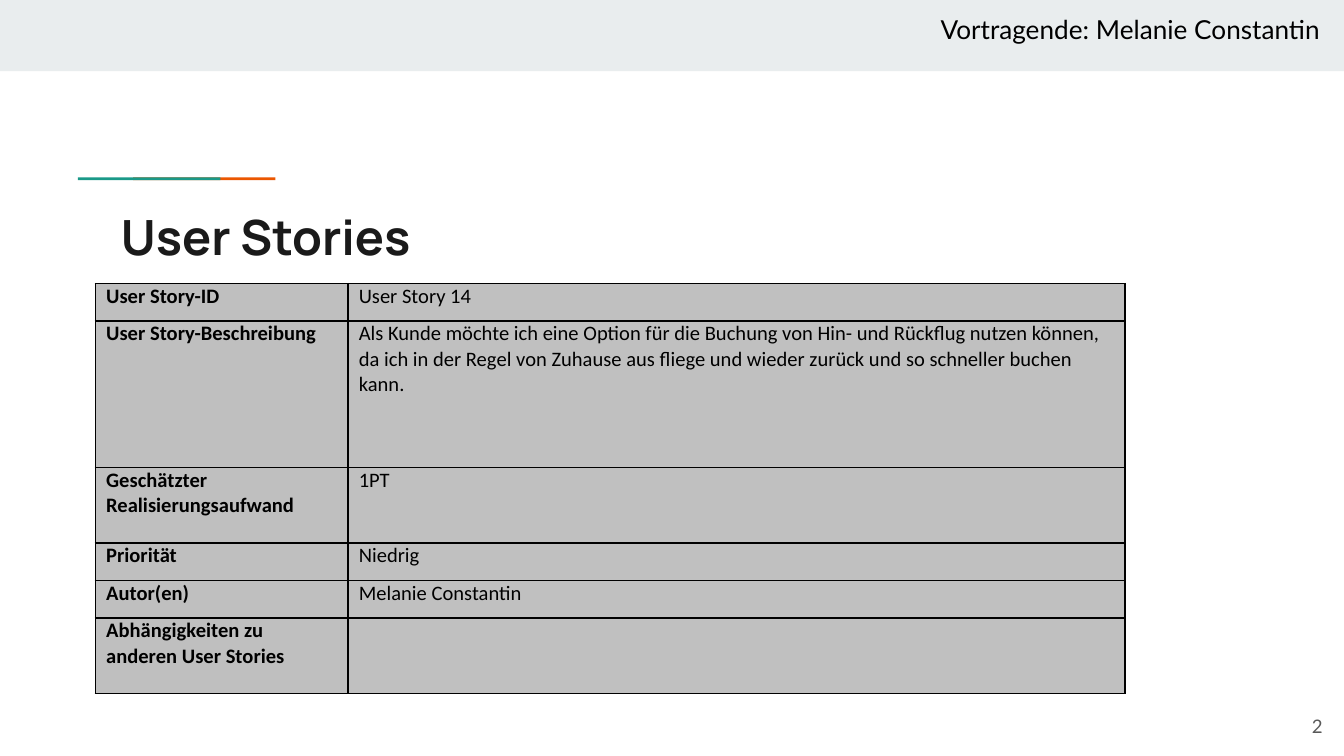
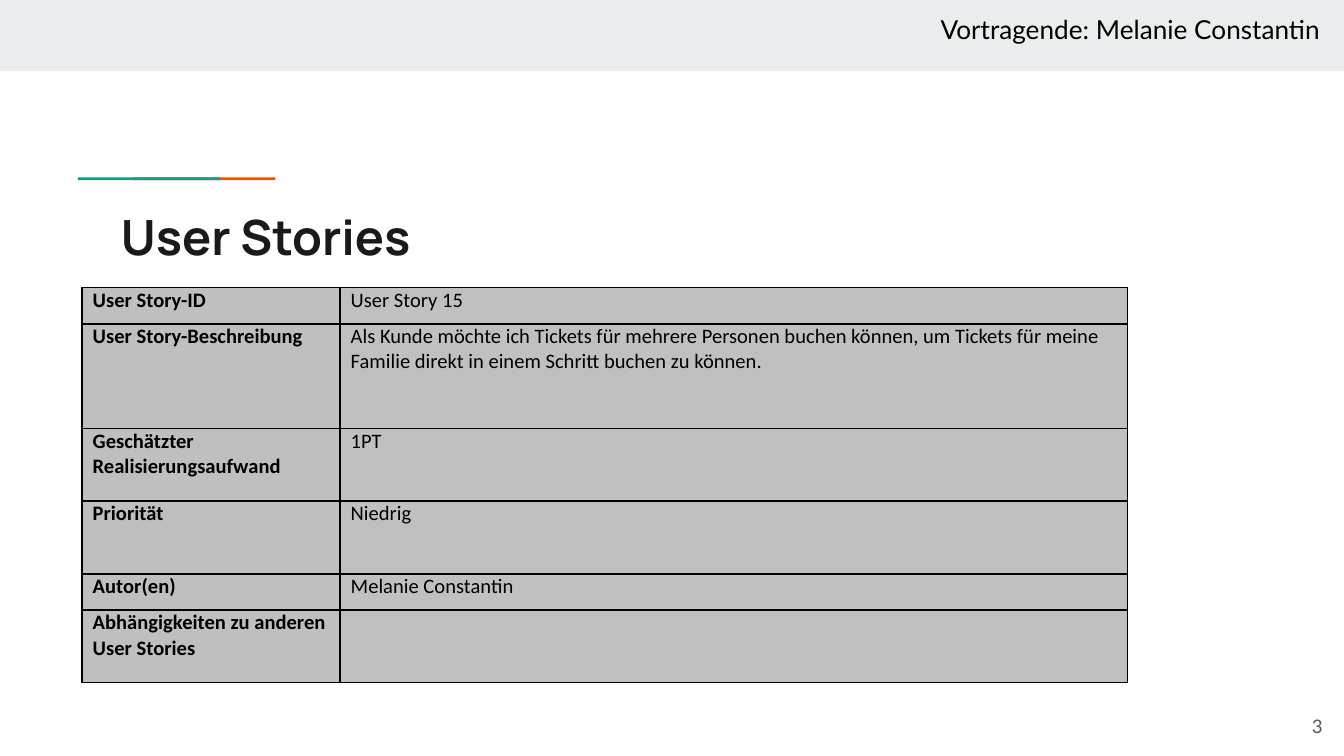
from lxml import etree
from pptx import Presentation
from pptx.dml.color import RGBColor
from pptx.enum import shapes, text
from pptx.oxml.ns import qn
from pptx.util import Inches, Pt

BLACK, INK, GREY = "000000", "1A1A1A", "595959"
BAND, TEAL, ORANGE = "E9EDEE", "1A9988", "EB5600"
LABEL_FILL, VALUE_FILL = "BFBFBF", "C0C0C0"

LABELS = ["User Story-ID", "User Story-Beschreibung", "Geschätzter Realisierungsaufwand",
          "Priorität", "Autor(en)", "Abhängigkeiten zu anderen User Stories"]
AUTHOR = "Melanie Constantin"

STORIES = [
    dict(page=2, id="User Story 14", left=0.71, top=2.11, cols=[1.88, 5.78],
         rows=[0.28, 1.09, 0.56, 0.28, 0.28, 0.56],
         wish="Als Kunde möchte ich eine Option für die Buchung von Hin- und Rückflug "
              "nutzen können, da ich in der Regel von Zuhause aus fliege und wieder "
              "zurück und so schneller buchen kann."),
    dict(page=3, id="User Story 15", left=0.61, top=2.14, cols=[1.92, 5.86],
         rows=[0.27, 0.78, 0.54, 0.54, 0.27, 0.54],
         wish="Als Kunde möchte ich Tickets für mehrere Personen buchen können, um "
              "Tickets für meine Familie direkt in einem Schritt buchen zu können."),
]


def rgb(color):
    return RGBColor.from_string(color)


def write(tf, words, size, font="Lato", color=BLACK, bold=False, align="LEFT",
          anchor="TOP", before=0):
    tf.word_wrap = True
    tf.auto_size = text.MSO_AUTO_SIZE.NONE
    tf.vertical_anchor = text.MSO_ANCHOR[anchor]
    tf.margin_left = tf.margin_right = tf.margin_top = tf.margin_bottom = Inches(0.1)
    p = tf.paragraphs[0]
    p.alignment = text.PP_ALIGN[align]
    p.space_before = Pt(before)
    r = p.add_run()
    r.text = words
    r.font.name, r.font.size, r.font.bold = font, Pt(size), bold
    r.font.color.rgb = rgb(color)


prs = Presentation()
prs.slide_width, prs.slide_height = Inches(10), Inches(10 * 9 / 16)

for story in STORIES:
    s = prs.slides.add_slide(prs.slide_layouts[5])

    # Header band and the two-coloured accent line; teal overlaps orange
    for left, top, width, height, color in [(0, 0, 10, 0.53, BAND),
                                            (0.99, 1.32, 1.06, 0.02, ORANGE),
                                            (0.58, 1.32, 1.06, 0.02, TEAL)]:
        sp = s.shapes.add_shape(shapes.MSO_SHAPE.RECTANGLE, Inches(left), Inches(top),
                                Inches(width), Inches(height))
        sp.shadow.inherit = False
        sp.fill.solid()
        sp.fill.fore_color.rgb = rgb(color)
        sp.line.fill.background()

    title = s.shapes.title
    title.left, title.top = Inches(0.8), Inches(1.44)
    title.width, title.height = Inches(8.41), Inches(0.59)
    write(title.text_frame, "User Stories", 26, font="Manrope", color=INK, bold=True)

    speaker = s.shapes.add_textbox(Inches(6.9), 0, Inches(3.1), Inches(0.54))
    write(speaker.text_frame, f"Vortragende: {AUTHOR}", 14)

    number = s.shapes.add_textbox(Inches(9.34), Inches(5.19), Inches(0.6), Inches(0.43))
    write(number.text_frame, str(story["page"]), 10, color=GREY, align="RIGHT",
          anchor="MIDDLE")

    cols, rows = story["cols"], story["rows"]
    table = s.shapes.add_table(len(rows), len(cols), Inches(story["left"]),
                               Inches(story["top"]), Inches(sum(cols)),
                               Inches(sum(rows))).table
    table.first_row = table.horz_banding = False
    for column, width in zip(table.columns, cols):
        column.width = Inches(width)
    for row, height in zip(table.rows, rows):
        row.height = Inches(height)

    values = [story["id"], story["wish"], "1PT", "Niedrig", AUTHOR, ""]
    for i, pair in enumerate(zip(LABELS, values)):
        for j, words in enumerate(pair):
            cell = table.cell(i, j)
            if words:
                write(cell.text_frame, words, 11, font="Calibri", bold=j == 0,
                      before=12 if words == story["wish"] else 0)
            cell.margin_left = cell.margin_right = Inches(0.08)
            cell.margin_top = cell.margin_bottom = 0
            tcPr = cell._tc.get_or_add_tcPr()
            for side in ("a:lnL", "a:lnR", "a:lnT", "a:lnB"):
                ln = etree.SubElement(tcPr, qn(side), w=str(Pt(1)))
                fill = etree.SubElement(ln, qn("a:solidFill"))
                etree.SubElement(fill, qn("a:srgbClr"), val=BLACK)
            cell.fill.solid()
            cell.fill.fore_color.rgb = rgb(VALUE_FILL if j else LABEL_FILL)

prs.save("out.pptx")
